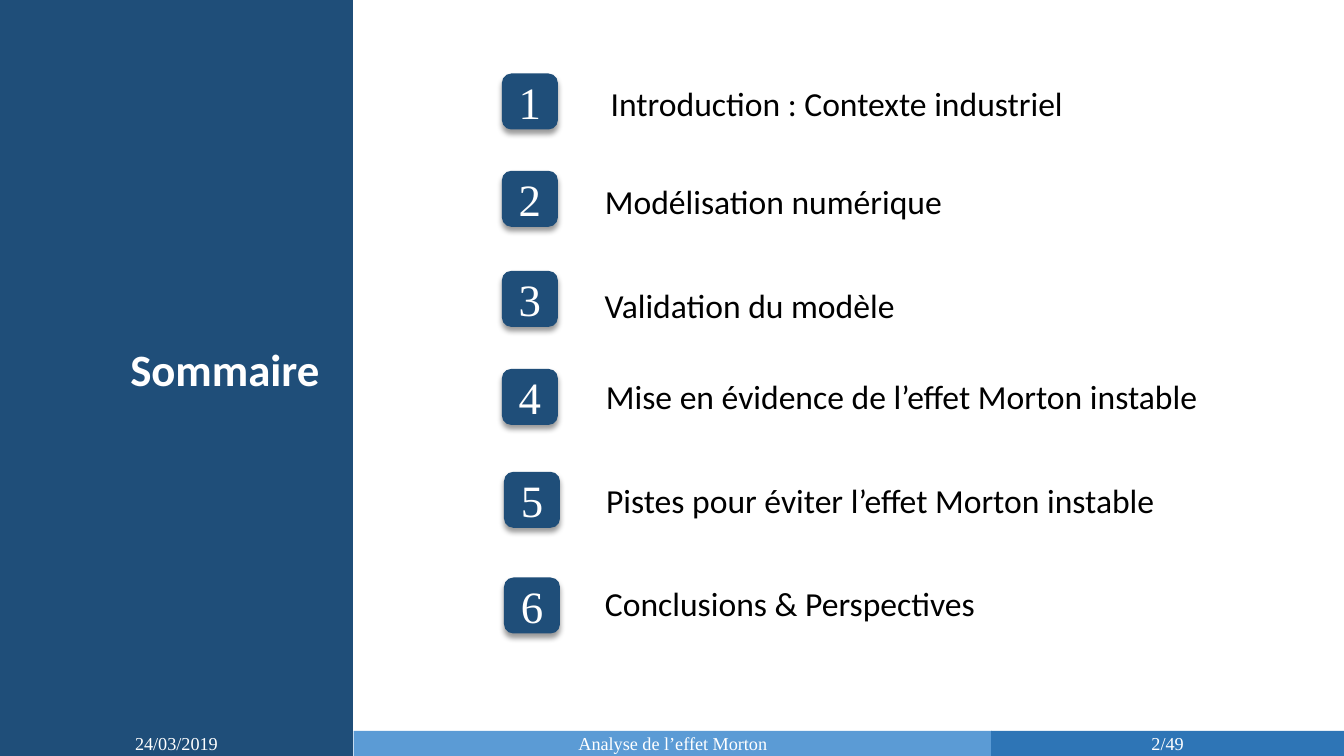
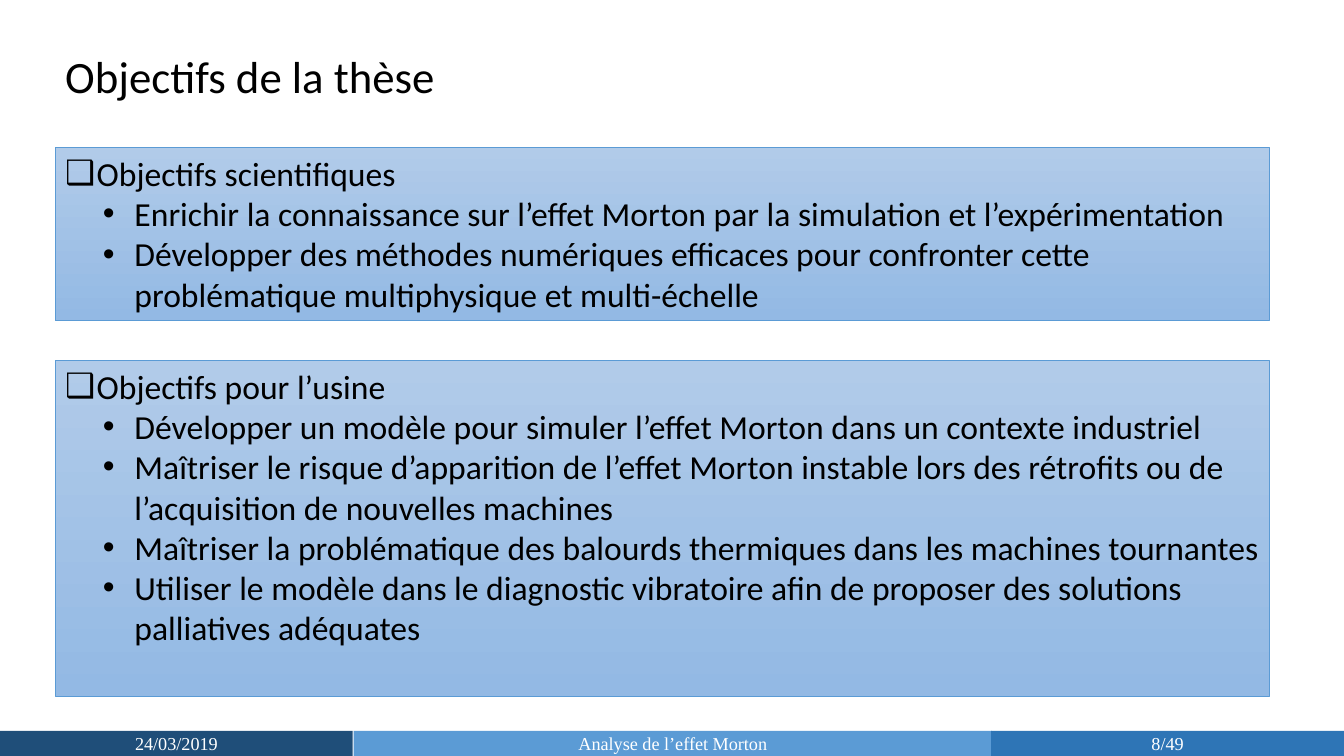
"""Build the summary and objectives slides of the thesis talk."""
from typing import NamedTuple

from lxml import etree
from pptx import Presentation
from pptx import util as u
from pptx.dml import color
from pptx.enum import shapes, text
from pptx.oxml import ns

NAVY, BLUE, SKY = "1F4E79", "2E75B6", "5B9BD5"
WHITE, BLACK = "FFFFFF", "000000"
SANS, SERIF = "Calibri", "Times New Roman"
WIDE, HIGH = 960, 540
SIDE, FOOT = 252, 18
RECT, ROUND = shapes.MSO_SHAPE.RECTANGLE, shapes.MSO_SHAPE.ROUNDED_RECTANGLE
LEFT, MID = text.PP_ALIGN.LEFT, text.PP_ALIGN.CENTER


class Box(NamedTuple):
    """Place and size in points."""
    x: float
    y: float
    w: float
    h: float


class Style(NamedTuple):
    """Look of a paragraph."""
    size: float
    face: str = SANS
    ink: str = BLACK
    bold: bool = False
    align: text.PP_ALIGN = LEFT


class Entry(NamedTuple):
    """One line of the summary, with its badge."""
    label: str
    width: float
    top: float
    left: float
    badge: float


class Panel(NamedTuple):
    """A heading and its goals."""
    top: float
    high: float
    head: str
    goals: tuple[str, ...]


HEAD = Style(32)
BODY = Style(24)
ITEM = BODY._replace(align=MID)
SIGN = Style(32, ink=WHITE, bold=True, align=MID)
DIGIT = Style(32, SERIF, WHITE, align=MID)
NOTE = DIGIT._replace(size=13)

ENTRIES = (
    Entry("Introduction : Contexte industriel", 348.5, 56, 358.5, 52.5),
    Entry("Modélisation numérique", 258, 126, 358.5, 122),
    Entry("Validation du modèle", 224, 200, 358.5, 193.5),
    Entry("Mise en évidence de l’effet Morton instable", 441, 265, 358.5, 263.5),
    Entry("Pistes pour éviter l’effet Morton instable", 410.5, 339, 360, 337),
    Entry("Conclusions & Perspectives", 281.5, 413, 360, 412.5),
)

PANELS = (
    Panel(105.5, 123.5, "Objectifs scientifiques", (
        "Enrichir la connaissance sur l’effet Morton par la simulation et l’expérimentation",
        "Développer des méthodes numériques efficaces pour confronter cette "
        "problématique multiphysique et multi-échelle",
    )),
    Panel(257.5, 240, "Objectifs pour l’usine", (
        "Développer un modèle pour simuler l’effet Morton dans un contexte industriel",
        "Maîtriser le risque d’apparition de l’effet Morton instable lors des rétrofits ou de "
        "l’acquisition de nouvelles machines",
        "Maîtriser la problématique des balourds thermiques dans les machines tournantes",
        "Utiliser le modèle dans le diagnostic vibratoire afin de proposer des solutions "
        "palliatives adéquates",
    )),
)


def rgb(code: str) -> color.RGBColor:
    """Turn a hex string into a colour."""
    return color.RGBColor.from_string(code)


def span(box: Box) -> list[u.Length]:
    """Turn a box into lengths."""
    return [u.Pt(v) for v in box]


def dress(para, words: str, look: Style) -> None:
    """Write and style a paragraph."""
    para.text = words
    para.alignment = look.align
    font = para.font
    font.size, font.name, font.bold = u.Pt(look.size), look.face, look.bold
    font.color.rgb = rgb(look.ink)


def block(slide, box: Box, fill: str, kind=RECT):
    """Draw a plain filled shape."""
    shape = slide.shapes.add_shape(kind, *span(box))
    shape.shadow.inherit = False
    shape.fill.solid()
    shape.fill.fore_color.rgb = rgb(fill)
    shape.line.fill.background()
    return shape


def label(slide, box: Box, words: str, look: Style, wrap: bool = False) -> None:
    """Add a text box of one paragraph."""
    frame = slide.shapes.add_textbox(*span(box)).text_frame
    frame.word_wrap = wrap
    dress(frame.paragraphs[0], words, look)


def mark(shape, words: str, look: Style) -> None:
    """Centre one paragraph in a shape."""
    frame = shape.text_frame
    frame.vertical_anchor = text.MSO_ANCHOR.MIDDLE
    dress(frame.paragraphs[0], words, look)


def shade(shape) -> None:
    """Give a shape a soft shadow below it."""
    effects = shape._element.spPr.find(ns.qn("a:effectLst"))
    drop = etree.SubElement(effects, ns.qn("a:outerShdw"), blurRad=str(u.Pt(4)),
                            dist=str(u.Pt(3)), dir="5400000", rotWithShape="0")
    tone = etree.SubElement(drop, ns.qn("a:srgbClr"), val=BLACK)
    etree.SubElement(tone, ns.qn("a:alpha"), val="40000")


def bullet(para, sign: str, left: float) -> None:
    """Give a paragraph a hanging bullet."""
    props = para._p.get_or_add_pPr()
    props.set("marL", str(u.Pt(left)))
    props.set("indent", str(u.Pt(-22.5)))
    etree.SubElement(props, ns.qn("a:buFont"), typeface="Arial")
    etree.SubElement(props, ns.qn("a:buChar"), char=sign)


def footer(slide, page: int) -> None:
    """Draw the three bands at the foot."""
    bands = (
        (0, SIDE, NAVY, "24/03/2019"),
        (SIDE + 0.5, 456, SKY, "Analyse de l’effet Morton"),
        (WIDE - SIDE, SIDE, BLUE, f"{page}/49"),
    )
    for x, w, fill, words in bands:
        mark(block(slide, Box(x, HIGH - FOOT, w, FOOT), fill), words, NOTE)


def summary(slide) -> None:
    """Draw the list of chapters."""
    side = block(slide, Box(-0.5, 0, SIDE, HIGH), NAVY)
    side.line.color.rgb = rgb(NAVY)
    side.line.width = u.Pt(1)
    label(slide, Box(83, 240.5, 155.5, 46), "Sommaire", SIGN)
    for num, item in enumerate(ENTRIES, 1):
        badge = block(slide, Box(item.left, item.badge, 40, 40), NAVY, ROUND)
        shade(badge)
        mark(badge, str(num), DIGIT)
        label(slide, Box(423.5, item.top, item.width, 36), item.label, ITEM)


def panel(slide, part: Panel) -> None:
    """Draw a shaded panel with its goals."""
    shape = block(slide, Box(39.5, part.top, 867, part.high), SKY)
    shape.fill.gradient()
    shape.fill.gradient_angle = 270
    for stop, tone in zip(shape.fill.gradient_stops, ("B1CBE9", "93B9E4")):
        stop.color.rgb = rgb(tone)
    shape.line.color.rgb = rgb(SKY)
    shape.line.width = u.Pt(0.5)
    frame = shape.text_frame
    frame.word_wrap = True
    frame.vertical_anchor = text.MSO_ANCHOR.TOP
    head = frame.paragraphs[0]
    bullet(head, "❑", 22.5)
    dress(head, part.head, BODY)
    for goal in part.goals:
        para = frame.add_paragraph()
        para.level = 1
        bullet(para, "•", 49.5)
        dress(para, goal, BODY)


def goals(slide) -> None:
    """Draw the title and the panels."""
    label(slide, Box(39.5, 31, 691, 46), "Objectifs de la thèse", HEAD, True)
    for part in PANELS:
        panel(slide, part)


def main() -> None:
    """Build and save the deck."""
    deck = Presentation()
    deck.slide_width, deck.slide_height = u.Pt(WIDE), u.Pt(HIGH)
    for draw, page in ((summary, 2), (goals, 8)):
        slide = deck.slides.add_slide(deck.slide_layouts[6])
        draw(slide)
        footer(slide, page)
    deck.save("out.pptx")


if __name__ == "__main__":
    main()
